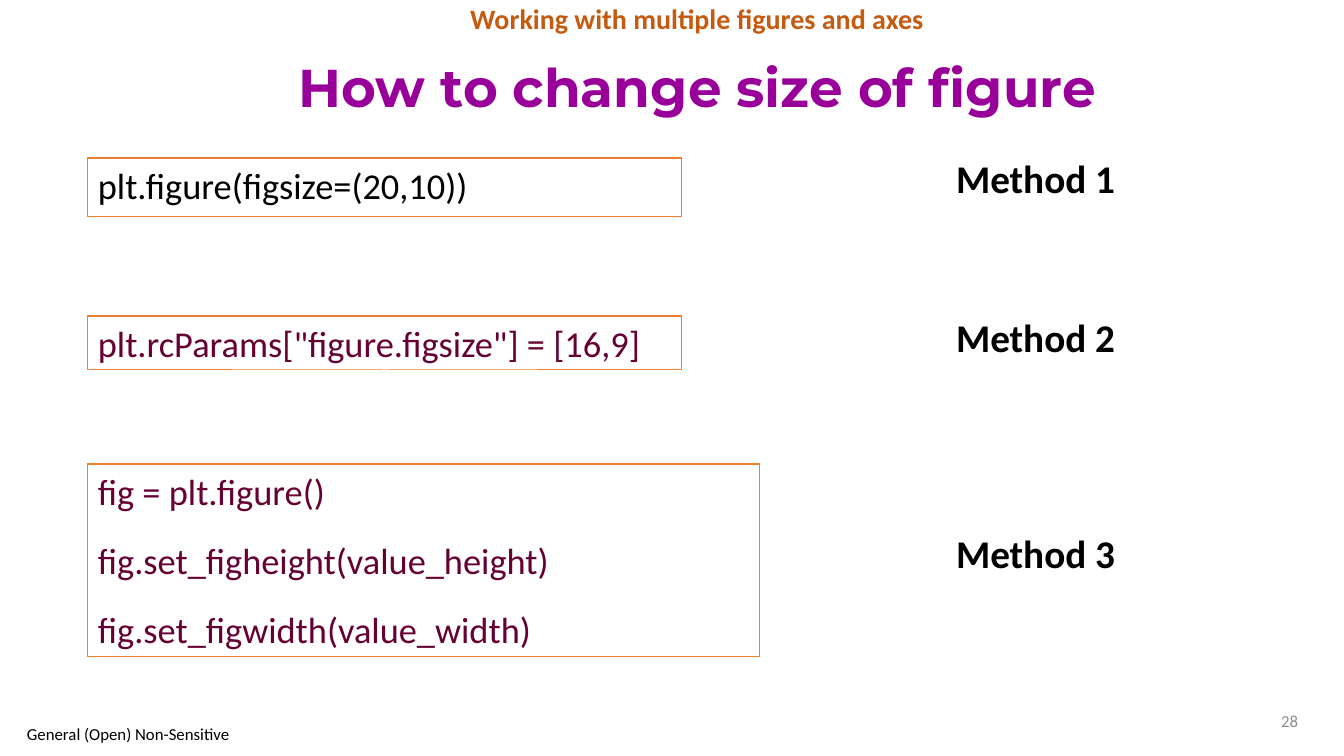
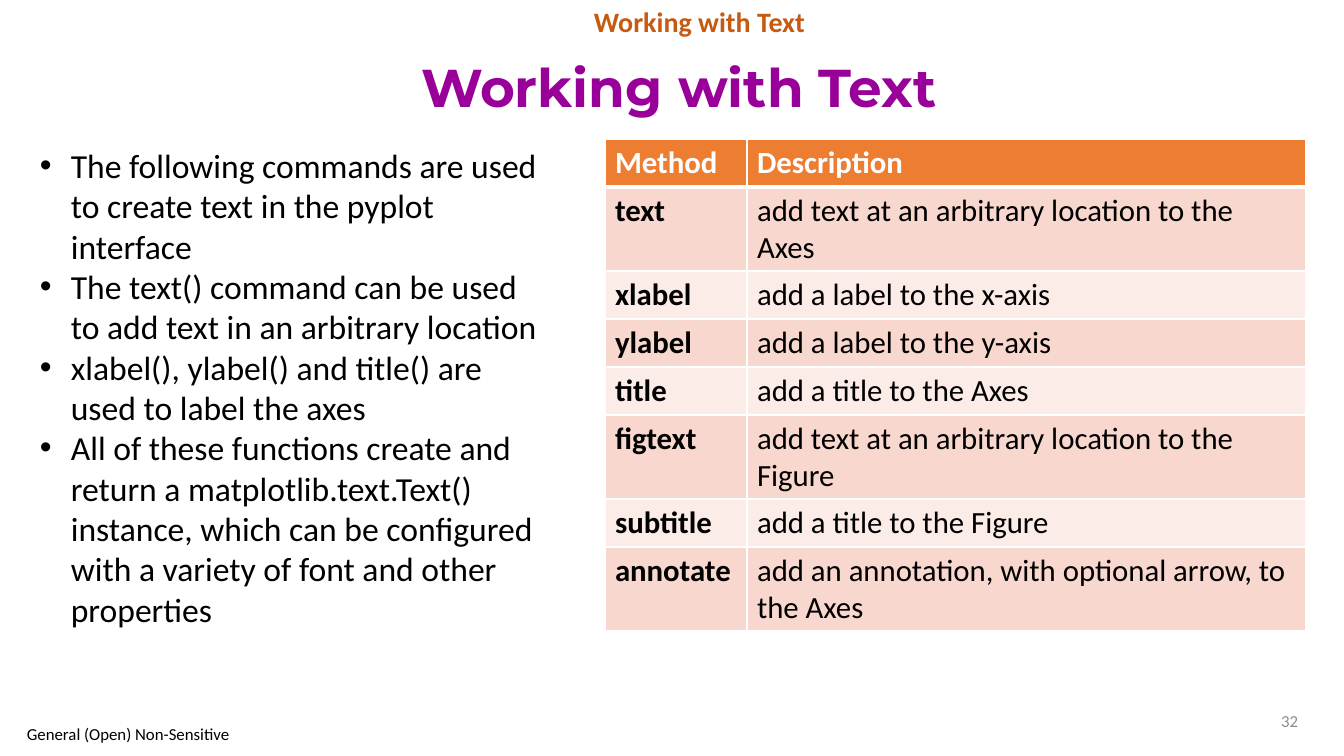
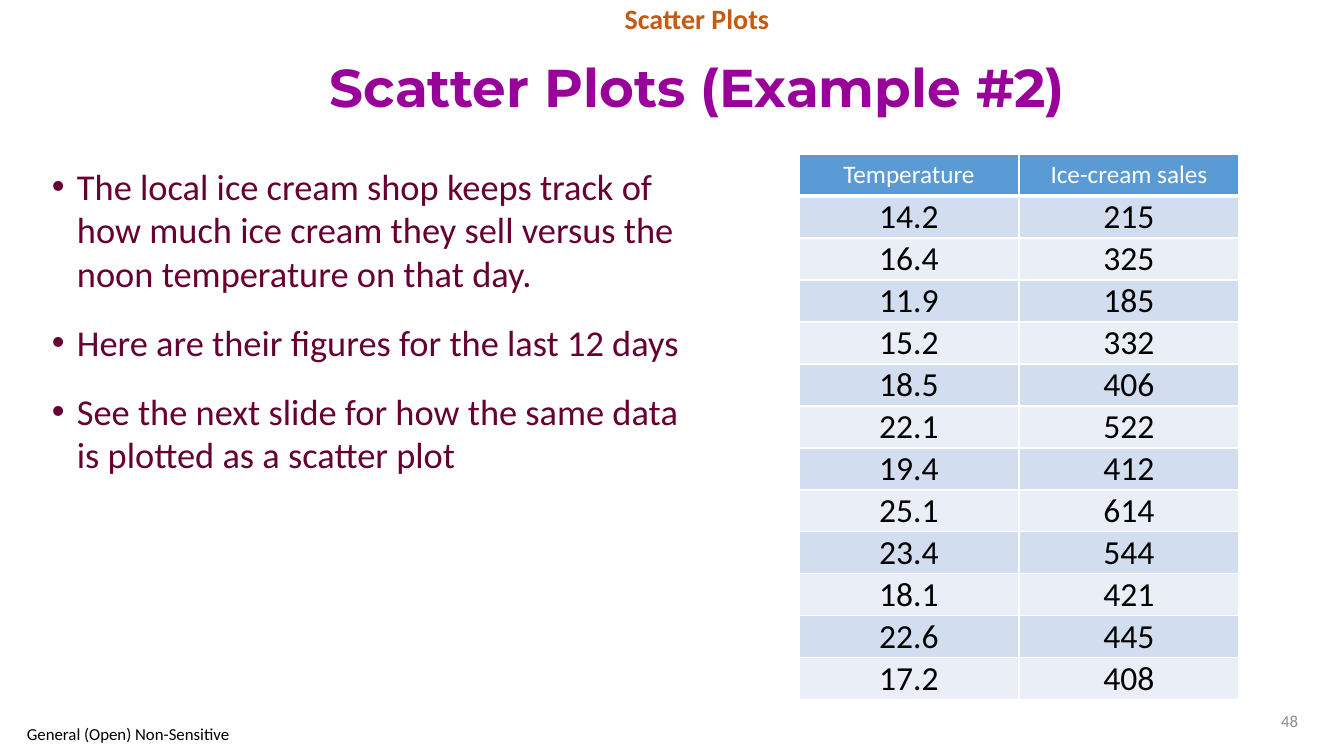
from lxml import etree
from pptx import Presentation
from pptx import util as u
from pptx.dml.color import RGBColor
from pptx.enum import shapes, text
from pptx.oxml import ns

# Shared style
PX = 914400 / 100.8
BODY, HEAD = "Calibri", "Montserrat"
WHITE, BLACK, GREY = "FFFFFF", "000000", "8C8C8C"
PURPLE, RUST, WINE, ORANGE = "990099", "C55A11", "660033", "ED7D31"
ALIGN = {"l": text.PP_ALIGN.LEFT, "c": text.PP_ALIGN.CENTER, "r": text.PP_ALIGN.RIGHT}
MID, LOW = text.MSO_ANCHOR.MIDDLE, text.MSO_ANCHOR.BOTTOM
FOOT = "General (Open) Non-Sensitive"

# Content: topic, title, page number, title box, topic line spacing
WIDE = (88, 41, 1219, 98)
FIGURE = ("Working with multiple figures and axes", "How to change size of figure", 28, WIDE, 0.9)
WORDS = ("Working with Text", "Working with Text", 32, (53, 41, 1252, 98), None)
PLOTS = ("Scatter Plots", "Scatter Plots (Example #2)", 48, WIDE, 0.9)

# Code lines, colour, box top, width and height, label top
METHODS = [
    (["plt.figure(figsize=(20,10))"], BLACK, 158, 594, 59, 149),
    (['plt.rcParams["figure.figsize"] = [16,9]'], WINE, 316, 594, 54, 308),
    (["fig = plt.figure()", "fig.set_figheight(value_height)",
      "fig.set_figwidth(value_width)"], WINE, 464, 672, 193, 524),
]

NOTES = [
    "The following commands are used to create text in the pyplot interface",
    "The text() command can be used to add text in an arbitrary location",
    "xlabel(), ylabel() and title() are used to label the axes",
    "All of these functions create and return a matplotlib.text.Text() instance, "
    "which can be configured with a variety of font and other properties",
]
CALLS = [
    ("Method", "Description"),
    ("text", "add text at an arbitrary location to the Axes"),
    ("xlabel", "add a label to the x-axis"),
    ("ylabel", "add a label to the y-axis"),
    ("title", "add a title to the Axes"),
    ("figtext", "add text at an arbitrary location to the Figure"),
    ("subtitle", "add a title to the Figure"),
    ("annotate", "add an annotation, with optional arrow, to the Axes"),
]

STORY = [
    "The local ice cream shop keeps track of how much ice cream they sell "
    "versus the noon temperature on that day.",
    "Here are their figures for the last 12 days",
    "See the next slide for how the same data is plotted as a scatter plot",
]
SALES = [
    ("Temperature", "Ice-cream sales"),
    (14.2, 215), (16.4, 325), (11.9, 185), (15.2, 332), (18.5, 406), (22.1, 522),
    (19.4, 412), (25.1, 614), (23.4, 544), (18.1, 421), (22.6, 445), (17.2, 408),
]


# Helpers
def px(n):
    return u.Emu(round(n * PX))


def rgb(code):
    return RGBColor.from_string(code)


def write(frame, lines, size=26, color=BLACK, font=BODY, bold=False, align="l",
          lead=None, gap=0, dent=0):
    """Fill a text frame, one paragraph a line; dent > 0 adds bullets."""
    for i, line in enumerate(lines):
        para = frame.add_paragraph() if i else frame.paragraphs[0]
        para.alignment = ALIGN[align]
        para.space_before = u.Pt(gap)
        if lead:
            para.line_spacing = lead
        if dent:
            props = para._p.get_or_add_pPr()
            props.set("marL", str(px(dent)))
            props.set("indent", str(-px(dent)))
            etree.SubElement(props, ns.qn("a:buFont")).set("typeface", "Arial")
            etree.SubElement(props, ns.qn("a:buChar")).set("char", "•")
        run = para.add_run()
        run.text = str(line)
        run.font.size, run.font.name, run.font.bold = u.Pt(size), font, bold
        run.font.color.rgb = rgb(color)


def label(slide, box, lines, anchor=text.MSO_ANCHOR.TOP, **style):
    frame = slide.shapes.add_textbox(*map(px, box)).text_frame
    frame.word_wrap = True
    frame.vertical_anchor = anchor
    write(frame, lines, **style)


def panel(slide, box, lines, **style):
    """White box with an orange hairline."""
    rect = slide.shapes.add_shape(shapes.MSO_SHAPE.RECTANGLE, *map(px, box))
    rect.shadow.inherit = False
    rect.fill.solid()
    rect.fill.fore_color.rgb = rgb(WHITE)
    rect.line.color.rgb = rgb(ORANGE)
    rect.line.width = u.Pt(0)
    rect.text_frame.word_wrap = True
    rect.text_frame.vertical_anchor = text.MSO_ANCHOR.TOP
    write(rect.text_frame, lines, **style)


def edge(cell, side, width):
    line = etree.SubElement(cell._tc.get_or_add_tcPr(), ns.qn("a:ln" + side))
    line.set("w", str(u.Pt(width)))
    fill = etree.SubElement(line, ns.qn("a:solidFill"))
    etree.SubElement(fill, ns.qn("a:srgbClr")).set("val", WHITE)


def grid(slide, left, top, cols, high, rows, fills, style, tight=False):
    """Table with a header row; fills are header, odd rows, even rows."""
    table = slide.shapes.add_table(len(rows), len(cols), px(left), px(top),
                                   px(sum(cols)), px(high * len(rows))).table
    for col, wide in zip(table.columns, cols):
        col.width = px(wide)
    for r, row in enumerate(rows):
        table.rows[r].height = px(high)
        for c, value in enumerate(row):
            cell = table.cell(r, c)
            for side in "LRTB":
                thick = (r, side) in ((0, "B"), (1, "T"))
                edge(cell, side, 3 if thick else 1)
            cell.fill.solid()
            cell.fill.fore_color.rgb = rgb(fills[0 if r == 0 else 2 - r % 2])
            if tight and r:
                cell.vertical_anchor = LOW
                cell.margin_left = cell.margin_right = cell.margin_top = px(1)
                cell.margin_bottom = 0
            write(cell.text_frame, [value], **style(r, c))


def page(deck, topic, title, number, box, lead):
    """Blank slide with topic, title, page number and footer."""
    slide = deck.slides.add_slide(deck.slide_layouts[6])
    label(slide, box, [title], MID, size=38, color=PURPLE, font=HEAD,
          bold=True, align="c", lead=0.9)
    label(slide, (264, 0, 866 if lead else 871, 41), [topic], size=20, color=RUST,
          bold=True, align="c", lead=lead, gap=18)
    label(slide, (978, 701, 330, 40), [number], MID, size=12, color=GREY, align="r")
    label(slide, (17, 721, 226, 26), [FOOT], MID, size=12)
    return slide


def call_style(r, c):
    return dict(size=22, color=BLACK if r else WHITE, bold=r == 0 or c == 0)


def sale_style(r, c):
    return dict(size=24 if r else 18, color=BLACK if r else WHITE, align="c")


def main():
    deck = Presentation()
    deck.slide_width, deck.slide_height = px(1344), px(756)

    # Figure size
    slide = page(deck, *FIGURE)
    for n, (code, color, top, wide, high, mark) in enumerate(METHODS, 1):
        panel(slide, (88, top, wide, high), code, color=color, gap=18)
        label(slide, (895, mark, 281, 57), [f"Method {n}"], size=28, bold=True, align="c")

    # Text commands
    slide = page(deck, *WORDS)
    grid(slide, 605, 139, (142, 559), 48, CALLS, (ORANGE, "F8D7CE", "FCECE8"), call_style)
    label(slide, (30, 140, 531, 499), NOTES, size=24, dent=31)

    # Scatter data
    slide = page(deck, *PLOTS)
    label(slide, (42, 159, 670, 522), STORY, color=WINE, gap=18, dent=25)
    grid(slide, 799, 154, (220, 220), 42, SALES, ("5B9BD5", "D2DEEF", "EAEFF7"),
         sale_style, tight=True)

    deck.save("out.pptx")


if __name__ == "__main__":
    main()
